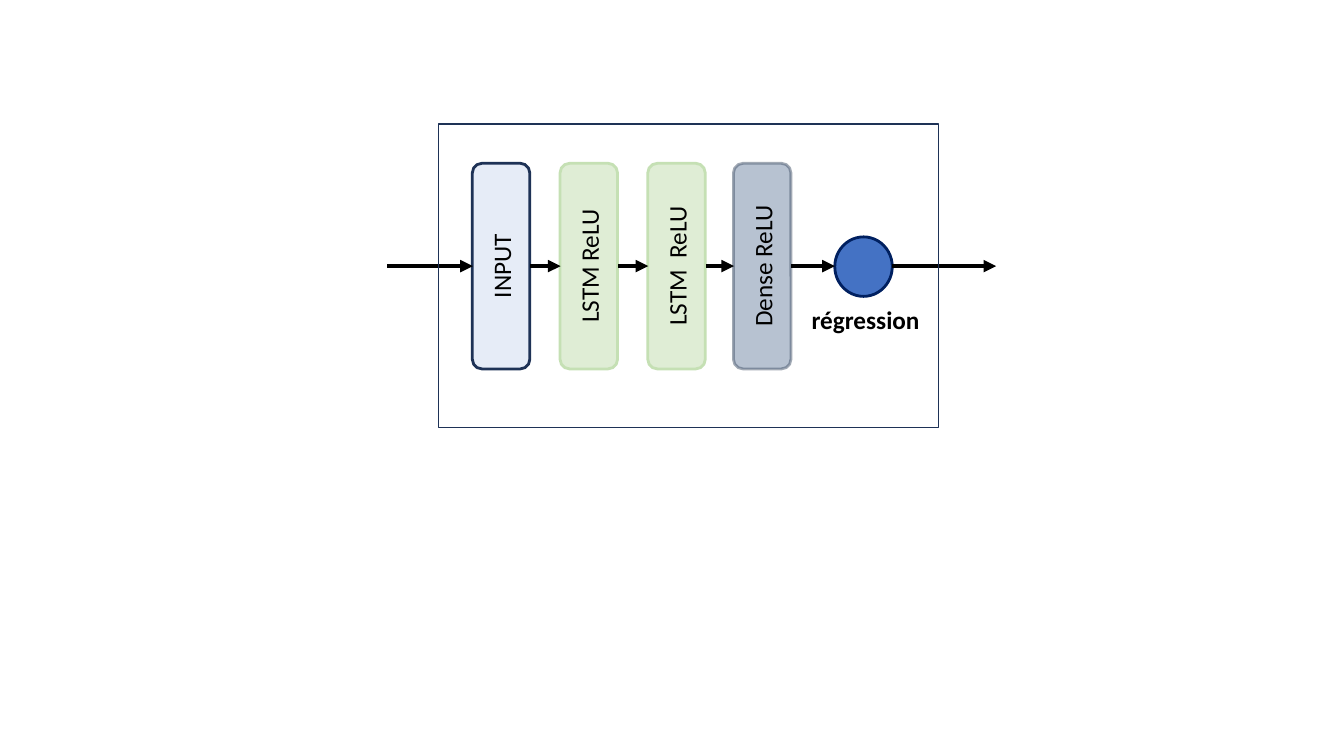
import pptx
import pptx.util
import pptx.dml.color
import pptx.enum.shapes
import pptx.enum.text
import pptx.oxml
import pptx.oxml.ns
import lxml.etree

Inches = pptx.util.Inches
Pt = pptx.util.Pt
RGBColor = pptx.dml.color.RGBColor
MSO_SHAPE = pptx.enum.shapes.MSO_SHAPE
qn = pptx.oxml.ns.qn

BLACK = RGBColor(0x00, 0x00, 0x00)
BLUE = RGBColor(0x44, 0x72, 0xC4)
NAVY = RGBColor(0x1E, 0x32, 0x56)
DEEP_BLUE = RGBColor(0x00, 0x20, 0x60)
GREEN = RGBColor(0xC5, 0xE0, 0xB4)
GREY_BLUE = RGBColor(0x84, 0x97, 0xB0)
SLATE = RGBColor(0x44, 0x54, 0x6A)

AXIS_Y = 2.64
LAYER_LENGTH, LAYER_THICKNESS = 2.04, 0.57


def set_opacity(color_parent, percent):
    color = color_parent.find(".//" + qn("a:srgbClr"))
    lxml.etree.SubElement(color, qn("a:alpha"), val=str(percent * 1000))


def add_label(text_frame, text, bold=False):
    paragraph = text_frame.paragraphs[0]
    paragraph.alignment = pptx.enum.text.PP_ALIGN.CENTER
    run = paragraph.add_run()
    run.text = text
    run.font.name = "Calibri"
    run.font.size = Pt(18)
    run.font.bold = bold
    run.font.color.rgb = BLACK


deck = pptx.Presentation()
deck.slide_width = Inches(13.33)
deck.slide_height = Inches(7.5)
slide = deck.slides.add_slide(deck.slide_layouts[6])

# Network layers: text, centre x, fill, fill opacity, outline, outline opacity
layers = [
    ("INPUT", 4.97, BLUE, 13, NAVY, 100),
    ("LSTM ReLU", 5.84, GREEN, 55, GREEN, 100),
    ("LSTM  ReLU", 6.71, GREEN, 55, GREEN, 100),
    ("Dense ReLU", 7.56, GREY_BLUE, 58, SLATE, 50),
]
for text, center_x, fill, fill_opacity, outline, outline_opacity in layers:
    layer = slide.shapes.add_shape(
        MSO_SHAPE.ROUNDED_RECTANGLE,
        Inches(center_x - LAYER_LENGTH / 2), Inches(AXIS_Y - LAYER_THICKNESS / 2),
        Inches(LAYER_LENGTH), Inches(LAYER_THICKNESS))
    layer.rotation = 270
    layer.shadow.inherit = False
    layer.fill.solid()
    layer.fill.fore_color.rgb = fill
    set_opacity(layer._element.spPr.find(qn("a:solidFill")), fill_opacity)
    layer.line.color.rgb = outline
    layer.line.width = Pt(2)
    if outline_opacity < 100:
        set_opacity(layer.line._ln, outline_opacity)
    layer.text_frame.word_wrap = True
    layer.text_frame.vertical_anchor = pptx.enum.text.MSO_ANCHOR.MIDDLE
    add_label(layer.text_frame, text)

# Output neuron
neuron = slide.shapes.add_shape(
    MSO_SHAPE.OVAL, Inches(8.28), Inches(2.35), Inches(0.57), Inches(0.59))
neuron.shadow.inherit = False
neuron.fill.solid()
neuron.fill.fore_color.rgb = BLUE
neuron.line.color.rgb = DEEP_BLUE
neuron.line.width = Pt(2)

# Data flow arrows, from the left of the network to its right
flow = [(3.84, 4.69), (5.26, 5.56), (6.13, 6.43), (7, 7.28), (7.85, 8.28), (8.85, 9.88)]
for start_x, end_x in flow:
    arrow = slide.shapes.add_connector(
        pptx.enum.shapes.MSO_CONNECTOR.STRAIGHT,
        Inches(start_x), Inches(AXIS_Y), Inches(end_x), Inches(AXIS_Y))
    arrow.line.color.rgb = BLACK
    arrow.line.width = Pt(3)
    lxml.etree.SubElement(arrow.line._ln, qn("a:tailEnd"), type="triangle")
    lxml.etree.SubElement(arrow._element.spPr, qn("a:effectLst"))

# Frame around the model
frame = slide.shapes.add_shape(
    MSO_SHAPE.RECTANGLE, Inches(4.35), Inches(1.23), Inches(4.96), Inches(3.01))
frame.shadow.inherit = False
frame.fill.background()
frame.line.color.rgb = NAVY
frame.line.width = Pt(1)

# Neuron caption
caption = slide.shapes.add_textbox(Inches(7.86), Inches(2.97), Inches(1.45), Inches(0.4))
caption.text_frame.word_wrap = True
caption.text_frame.auto_size = pptx.enum.text.MSO_AUTO_SIZE.SHAPE_TO_FIT_TEXT
add_label(caption.text_frame, "régression", bold=True)

deck.save("out.pptx")
